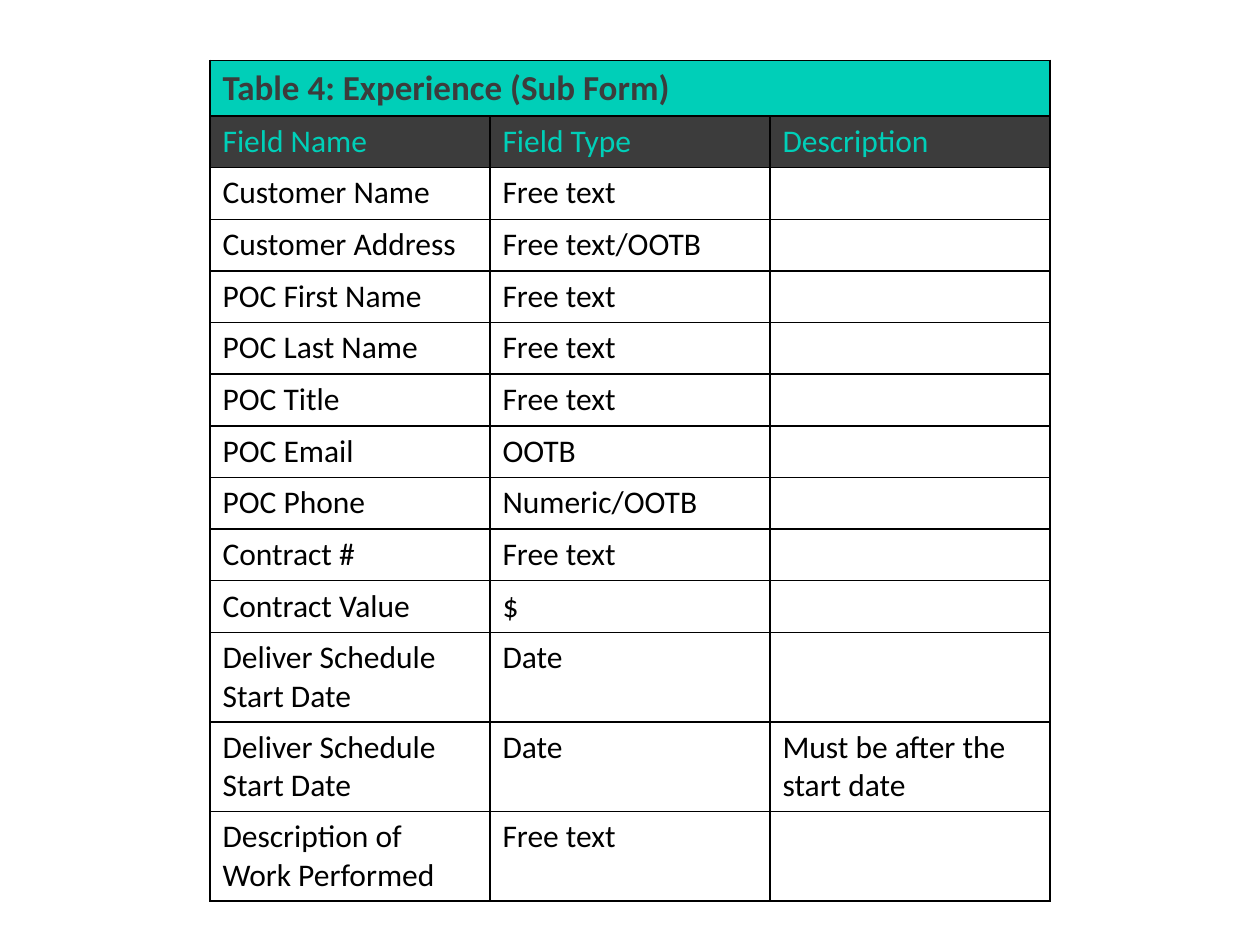
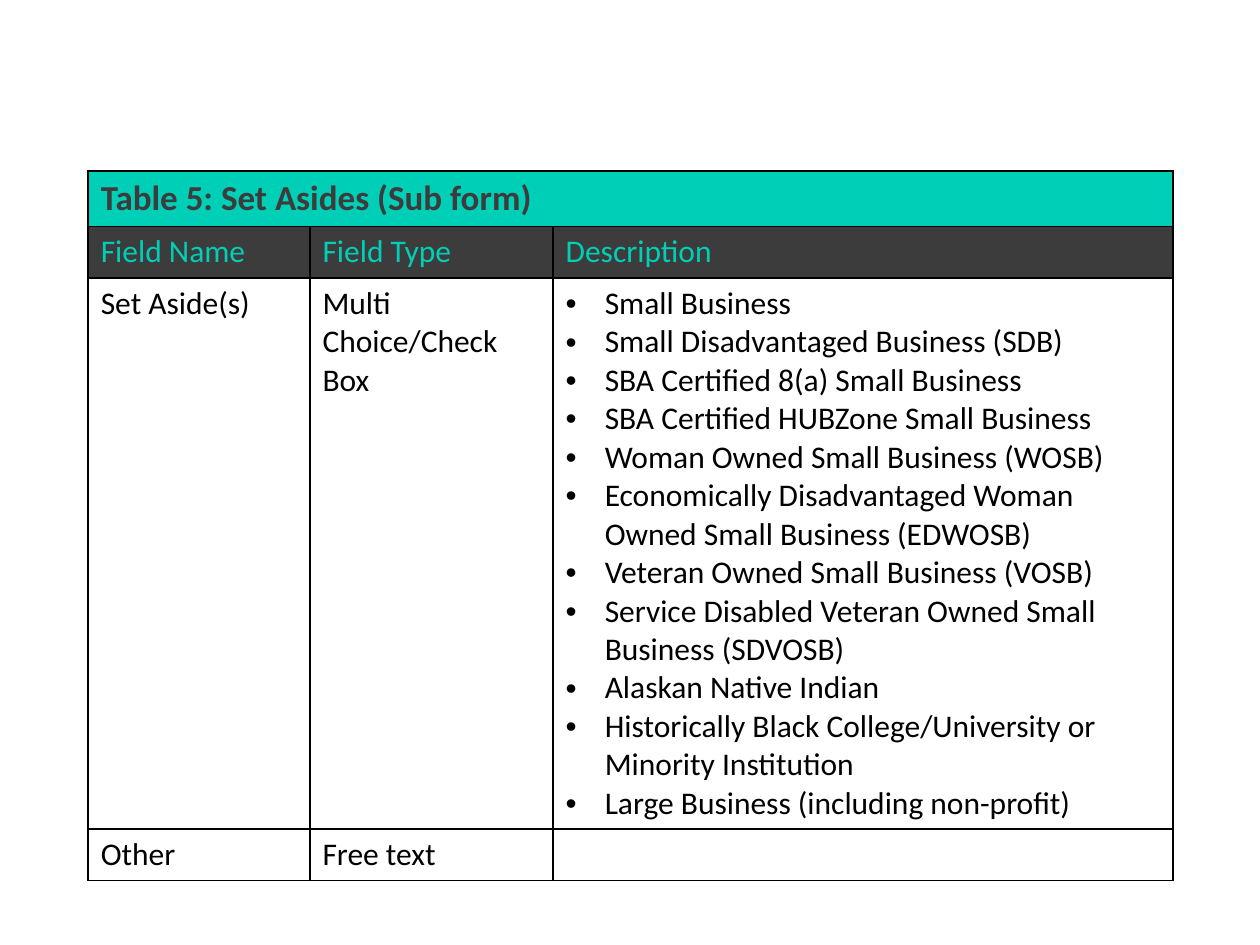
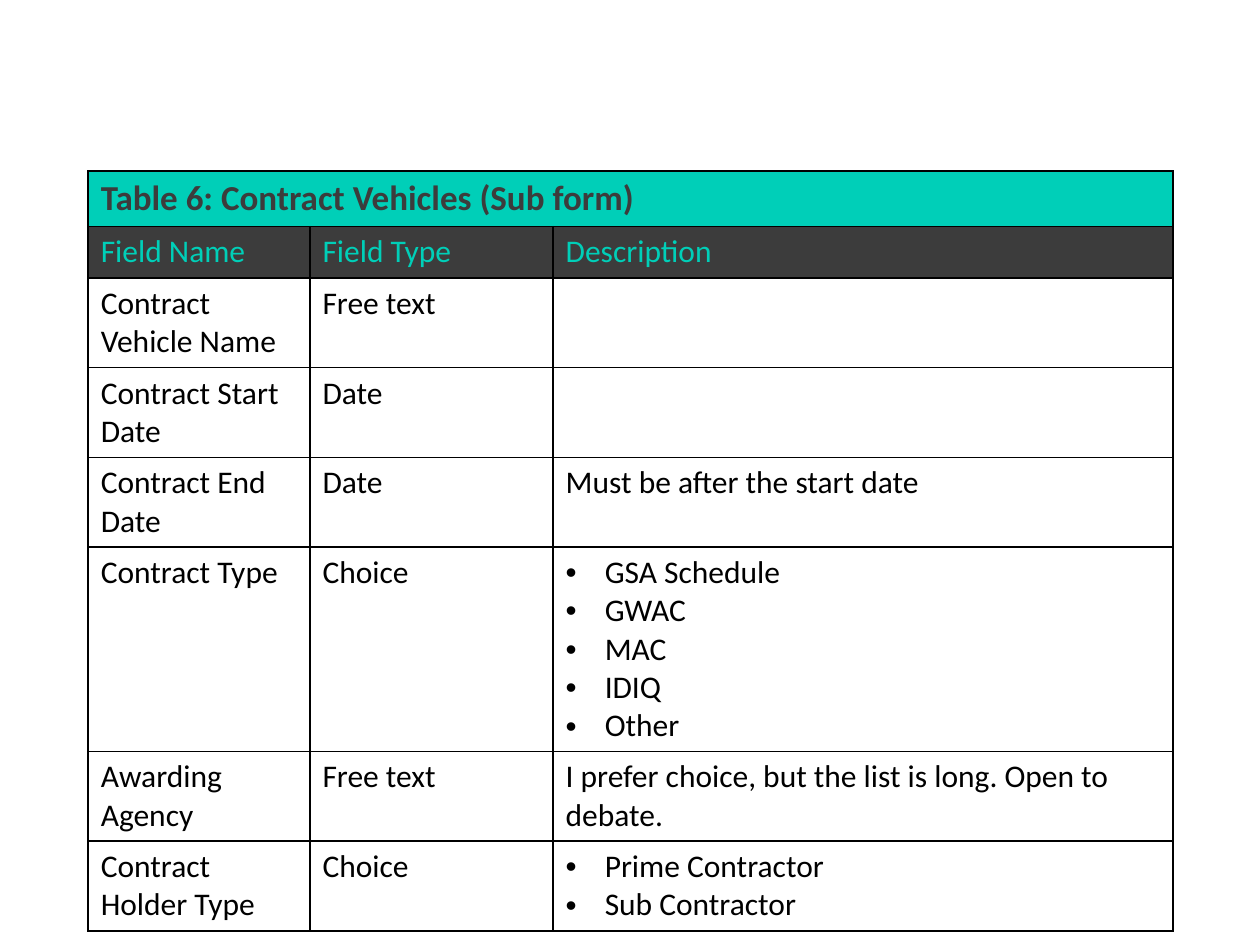
from lxml.etree import SubElement as Sub
from pptx import Presentation
from pptx.dml.color import RGBColor as RGB
from pptx.oxml.ns import qn
from pptx.util import Inches, Pt

INK = {"teal": "00CFB8", "dark": "3C3C3C", "black": "000000"}
FONT = "Calibri"
WIDE, HIGH = Inches(10), Inches(7.5)
ROW = 0.41 / 7.5
HEADS = ("Field Name", "Field Type", "Description")

# Boxes are (left, top, width) as shares of the slide; columns are weights.
MID = (1 / 6, 0.064, 2 / 3)
FULL = (0.07, 0.181, 0.861)
EVEN = (1, 1, 1)
LAST = (1.76, 1.93, 4.92)


def edge(cell):
    """Draw a thin black line on all four sides of a cell."""
    props = cell._tc.get_or_add_tcPr()
    for side in "LRTB":
        line = Sub(props, qn("a:ln" + side), w=str(Pt(1)))
        fill = Sub(line, qn("a:solidFill"))
        Sub(fill, qn("a:srgbClr"), val=INK["black"])


def bullet(para):
    """Give a paragraph a hanging round bullet."""
    props = para._p.get_or_add_pPr()
    props.set("marL", str(Inches(0.31)))
    props.set("indent", str(-Inches(0.31)))
    Sub(props, qn("a:buFont"), typeface="Arial")
    Sub(props, qn("a:buChar"), char="•")


def write(cell, text, ink="black", back=None, size=18, bold=False):
    """Fill a cell with a text, or with a bulleted list of texts."""
    edge(cell)
    if back:
        cell.fill.solid()
        cell.fill.fore_color.rgb = RGB.from_string(INK[back])
    else:
        cell.fill.background()
    listed = isinstance(text, list)
    frame = cell.text_frame
    frame.text = "\n".join(text) if listed else text
    for para in frame.paragraphs:
        if listed:
            bullet(para)
        font = para.font
        font.name, font.size, font.bold = FONT, Pt(size), bold
        font.color.rgb = RGB.from_string(INK[ink])


def form(deck, box, cols, title, rows):
    """Add a slide with one titled table of form fields in the box."""
    slide = deck.slides.add_slide(deck.slide_layouts[6])
    left, top, width = box
    count = len(rows) + 2
    grid = slide.shapes.add_table(
        count, len(cols), int(left * WIDE), int(top * HIGH),
        int(width * WIDE), int(count * ROW * HIGH)).table
    grid.first_row = grid.horz_banding = False
    for col, part in zip(grid.columns, cols):
        col.width = int(width * WIDE * part / sum(cols))
    for row in grid.rows:
        row.height = int(ROW * HIGH)

    for at, text in enumerate((title, "", "")):
        write(grid.cell(0, at), text, "dark", "teal", 20, True)
    grid.cell(0, 0).merge(grid.cell(0, len(cols) - 1))
    for at, text in enumerate(HEADS):
        write(grid.cell(1, at), text, "teal", "dark")
    for down, row in enumerate(rows, 2):
        for at, text in enumerate(row):
            write(grid.cell(down, at), text)


PAST = [
    ("Customer Name", "Free text", ""),
    ("Customer Address", "Free text/OOTB", ""),
    ("POC First Name", "Free text", ""),
    ("POC Last Name", "Free text", ""),
    ("POC Title", "Free text", ""),
    ("POC Email", "OOTB", ""),
    ("POC Phone", "Numeric/OOTB", ""),
    ("Contract #", "Free text", ""),
    ("Contract Value", "$", ""),
    ("Deliver Schedule Start Date", "Date", ""),
    ("Deliver Schedule Start Date", "Date", "Must be after the start date"),
    ("Description of Work Performed", "Free text", ""),
]
ASIDES = [
    ("Set Aside(s)", "Multi Choice/Check Box", [
        "Small Business",
        "Small Disadvantaged Business (SDB)",
        "SBA Certified 8(a) Small Business",
        "SBA Certified HUBZone Small Business",
        "Woman Owned Small Business (WOSB)",
        "Economically Disadvantaged Woman Owned Small Business (EDWOSB)",
        "Veteran Owned Small Business (VOSB)",
        "Service Disabled Veteran Owned Small Business (SDVOSB)",
        "Alaskan Native Indian",
        "Historically Black College/University or Minority Institution",
        "Large Business (including non-profit)",
    ]),
    ("Other", "Free text", ""),
]
DEALS = [
    ("Contract Vehicle Name", "Free text", ""),
    ("Contract Start Date", "Date", ""),
    ("Contract End Date", "Date", "Must be after the start date"),
    ("Contract Type", "Choice",
     ["GSA Schedule", "GWAC", "MAC", "IDIQ", "Other"]),
    ("Awarding Agency", "Free text",
     "I prefer choice, but the list is long. Open to debate."),
    ("Contract Holder Type", "Choice",
     ["Prime Contractor", "Sub Contractor"]),
]

deck = Presentation()
deck.slide_width, deck.slide_height = WIDE, HIGH
form(deck, MID, EVEN, "Table 4: Experience (Sub Form)", PAST)
form(deck, FULL, LAST, "Table 5: Set Asides (Sub form)", ASIDES)
form(deck, FULL, LAST, "Table 6: Contract Vehicles (Sub form)", DEALS)
deck.save("out.pptx")
